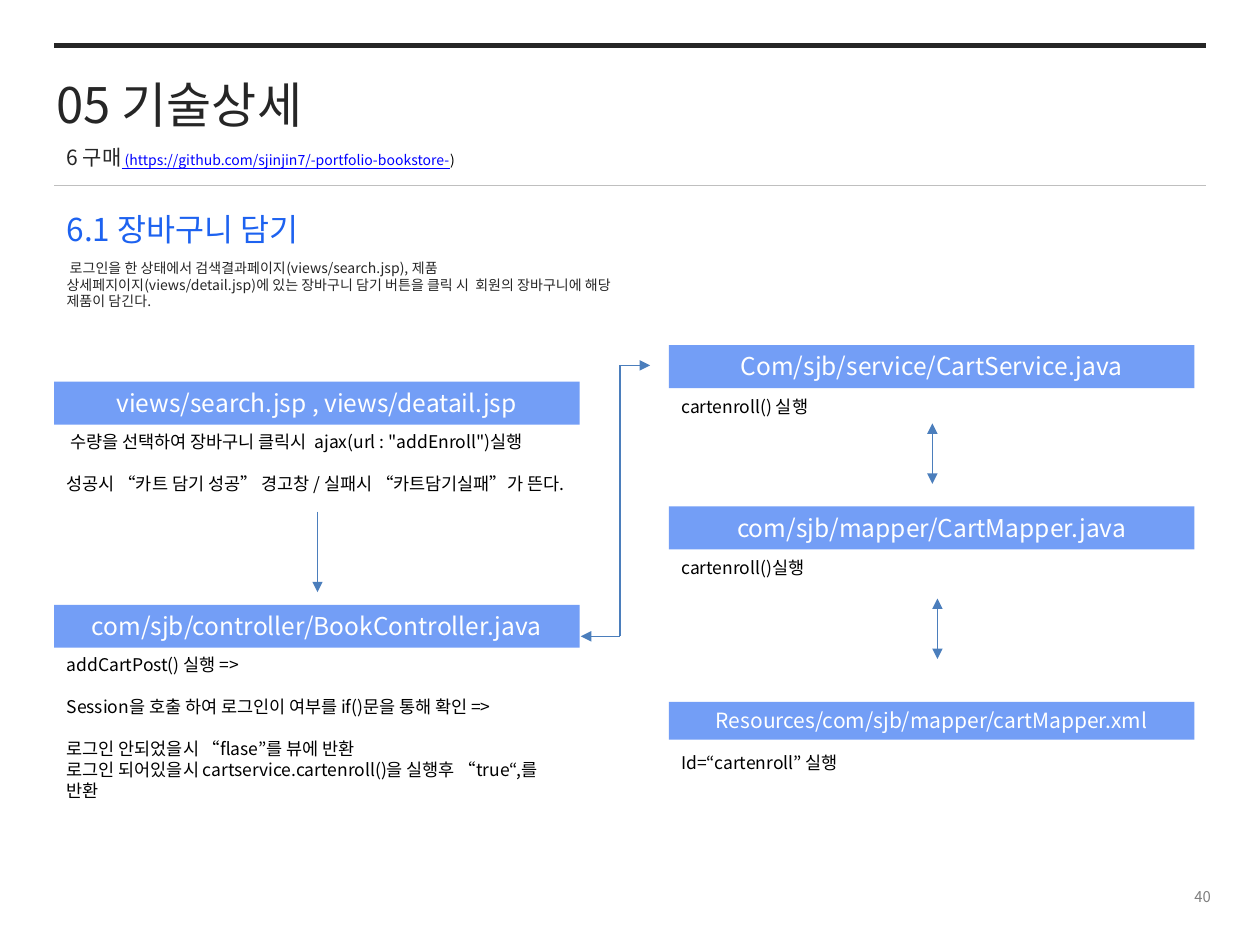
from dataclasses import dataclass
from typing import NamedTuple

from lxml.etree import SubElement
from pptx import Presentation
from pptx.dml.color import RGBColor
from pptx.enum.shapes import MSO_CONNECTOR, MSO_SHAPE
from pptx.enum.text import MSO_ANCHOR, MSO_AUTO_SIZE, PP_ALIGN
from pptx.oxml.ns import qn
from pptx.util import Inches, Pt


@dataclass(frozen=True)
class Theme:
    font: str = "Noto Sans CJK KR"
    ink: str = "262626"
    black: str = "000000"
    white: str = "FFFFFF"
    accent: str = "1D62F0"
    bar: str = "739EF6"
    arrow: str = "4B7EBC"
    divider: str = "BFBFBF"
    page: str = "808080"
    link: str = "0000FF"
    title_size: float = 28
    heading_size: float = 18
    bar_size: float = 14
    small_bar_size: float = 12
    subtitle_size: float = 12
    step_size: float = 10
    page_size: float = 8.5
    note_size: float = 8
    thin: float = 0.75
    thick: float = 3


class Box(NamedTuple):
    """A place on the grid of 100 columns and 75 rows."""
    column: float
    row: float
    columns: float
    rows: float


class Step(NamedTuple):
    text: str
    gap: float = 0


class Stage(NamedTuple):
    bar: Box
    source_file: str
    size: float
    notes: Box
    steps: list[Step]


class Arrow(NamedTuple):
    start: tuple[float, float]
    end: tuple[float, float]
    at_start: bool = False
    at_end: bool = True


THEME = Theme()
LEFT, RIGHT, SPAN, BAR_ROWS = 4.3, 53.1, 41.7, 3.4
MARGIN_END = 95.7
LINE_GAP = 12

deck = Presentation()
deck.slide_width, deck.slide_height = Inches(10), Inches(7.5)
COLUMN, ROW = deck.slide_width / 100, deck.slide_height / 75
slide = deck.slides.add_slide(deck.slide_layouts[1])


def grid(box: Box) -> tuple[int, int, int, int]:
    return (round(box.column * COLUMN), round(box.row * ROW),
            round(box.columns * COLUMN), round(box.rows * ROW))


def style_run(run, size: float, color: str) -> None:
    run.font.size = Pt(size)
    run.font.name = THEME.font
    run.font.color.rgb = RGBColor.from_string(color)
    SubElement(run.font._element, qn("a:ea"), typeface=THEME.font)


def write(shape, steps: list[Step], size: float, color: str,
          align=PP_ALIGN.LEFT, anchor=MSO_ANCHOR.TOP) -> None:
    frame = shape.text_frame
    frame.word_wrap = True
    frame.auto_size = MSO_AUTO_SIZE.NONE
    frame.vertical_anchor = anchor
    frame.text = "\n".join(step.text for step in steps)
    for paragraph, step in zip(frame.paragraphs, steps):
        paragraph.alignment = align
        paragraph.space_before = Pt(step.gap)
        for run in paragraph.runs:
            style_run(run, size, color)


def place(placeholder, box: Box) -> None:
    (placeholder.left, placeholder.top,
     placeholder.width, placeholder.height) = grid(box)


def add_text(box: Box, steps: list[Step], size: float, color: str, **layout) -> None:
    write(slide.shapes.add_textbox(*grid(box)), steps, size, color, **layout)


def add_line(arrow: Arrow, color: str, weight: float) -> None:
    (x1, y1), (x2, y2) = arrow.start, arrow.end
    line = slide.shapes.add_connector(
        MSO_CONNECTOR.STRAIGHT, round(x1 * COLUMN), round(y1 * ROW),
        round(x2 * COLUMN), round(y2 * ROW))
    line.line.color.rgb = RGBColor.from_string(color)
    line.line.width = Pt(weight)
    properties = line._element.spPr
    outline = properties.find(qn("a:ln"))
    for tag, shown in (("a:headEnd", arrow.at_start), ("a:tailEnd", arrow.at_end)):
        if shown:
            SubElement(outline, qn(tag), type="triangle")
    SubElement(properties, qn("a:effectLst"))


def add_bar(stage: Stage) -> None:
    bar = slide.shapes.add_shape(MSO_SHAPE.RECTANGLE, *grid(stage.bar))
    bar.shadow.inherit = False
    bar.fill.solid()
    bar.fill.fore_color.rgb = RGBColor.from_string(THEME.bar)
    bar.line.fill.background()
    write(bar, [Step(stage.source_file)], stage.size, THEME.white,
          align=PP_ALIGN.CENTER)


def add_subtitle() -> None:
    frame = slide.shapes.add_textbox(*grid(Box(LEFT, 10.8, 75.6, 5.3))).text_frame
    frame.word_wrap = True
    paragraph = frame.paragraphs[0]
    paragraph.line_spacing = Pt(16)
    for text, size, color, underlined in (
            ("6 구매", THEME.subtitle_size, THEME.ink, False),
            (" (https://github.com/sjinjin7/-portfolio-bookstore-",
             THEME.note_size, THEME.link, True),
            (")", THEME.note_size, THEME.black, False)):
        run = paragraph.add_run()
        run.text = text
        run.font.underline = underlined
        style_run(run, size, color)


CONTROLLER = Stage(
    Box(LEFT, 48, SPAN, BAR_ROWS), "com/sjb/controller/BookController.java",
    THEME.bar_size, Box(LEFT, 51.4, SPAN, 12.8),
    [Step("addCartPost() 실행 =>"),
     Step("Session을 호출 하여 로그인이 여부를 if()문을 통해 확인 =>", LINE_GAP),
     Step("로그인 안되었을시 “flase”를 뷰에 반환", LINE_GAP),
     Step("로그인 되어있을시 cartservice.cartenroll()을 실행후 “true“,를 반환")])
STAGES = [
    Stage(Box(LEFT, 30.3, SPAN, BAR_ROWS), "views/search.jsp , views/deatail.jsp",
          THEME.bar_size, Box(LEFT, 33.7, SPAN, 7.7),
          [Step(' 수량을 선택하여 장바구니 클릭시  ajax(url : "addEnroll")실행'),
           Step("성공시 “카트 담기 성공” 경고창 / 실패시 “카트담기실패”가 뜬다.", LINE_GAP)]),
    Stage(Box(RIGHT, 27.4, SPAN, BAR_ROWS), "Com/sjb/service/CartService.java",
          THEME.bar_size, Box(RIGHT, 30.9, SPAN, 2.7), [Step("cartenroll() 실행")]),
    Stage(Box(RIGHT, 40.2, SPAN, BAR_ROWS), "com/sjb/mapper/CartMapper.java",
          THEME.bar_size, Box(RIGHT, 43.7, SPAN, 2.7), [Step("cartenroll()실행")]),
    Stage(Box(RIGHT, 55.7, SPAN, 3), "Resources/com/sjb/mapper/cartMapper.xml",
          THEME.small_bar_size, Box(RIGHT, 59.2, SPAN, 4.4),
          [Step("Id=“cartenroll” 실행")]),
]
BEND_TOP, BEND_BOTTOM = (49.2, 29), (49.2, 50.5)
ARROWS = [
    Arrow((25.2, 40.6), (25.2, 47)),
    Arrow(BEND_TOP, BEND_BOTTOM, at_end=False),
    Arrow(BEND_BOTTOM, (46.1, 50.5)),
    Arrow(BEND_TOP, (51.6, 29)),
    Arrow((74, 33.6), (74, 38.4), at_start=True),
    Arrow((74.4, 47.5), (74.4, 52.3), at_start=True),
]


def main() -> None:
    title, controller_steps = slide.placeholders
    place(title, Box(3.5, 5.4, 75.6, 5.7))
    write(title, [Step("05 기술상세")], THEME.title_size, THEME.ink)

    place(controller_steps, CONTROLLER.notes)
    write(controller_steps, CONTROLLER.steps, THEME.step_size, THEME.black)
    for paragraph in controller_steps.text_frame.paragraphs:
        properties = paragraph._p.get_or_add_pPr()
        properties.set("marL", "0")
        properties.set("indent", "0")
        SubElement(properties, qn("a:buNone"))

    for row, color, weight in ((3.6, THEME.ink, THEME.thick),
                               (14.7, THEME.divider, THEME.thin)):
        add_line(Arrow((LEFT, row), (MARGIN_END, row), at_end=False), color, weight)

    add_subtitle()
    add_text(Box(LEFT, 16.2, 62.2, 4), [Step("6.1 장바구니 담기")],
             THEME.heading_size, THEME.accent)
    add_text(Box(LEFT, 20.1, 46.5, 5),
             [Step(" 로그인을 한 상태에서 검색결과페이지(views/search.jsp), "
                   "제품 상세페지이지(views/detail.jsp)에 있는 장바구니 담기 버튼을 "
                   "클릭 시  회원의 장바구니에 해당 제품이 담긴다.")],
             THEME.note_size, THEME.ink)
    add_text(Box(76, 69.8, 21.1, 2.7), [Step("40")], THEME.page_size, THEME.page,
             align=PP_ALIGN.RIGHT, anchor=MSO_ANCHOR.MIDDLE)

    add_bar(CONTROLLER)
    for stage in STAGES:
        add_bar(stage)
        add_text(stage.notes, stage.steps, THEME.step_size, THEME.black)
    for arrow in ARROWS:
        add_line(arrow, THEME.arrow, THEME.thin)
    deck.save("out.pptx")


if __name__ == "__main__":
    main()
